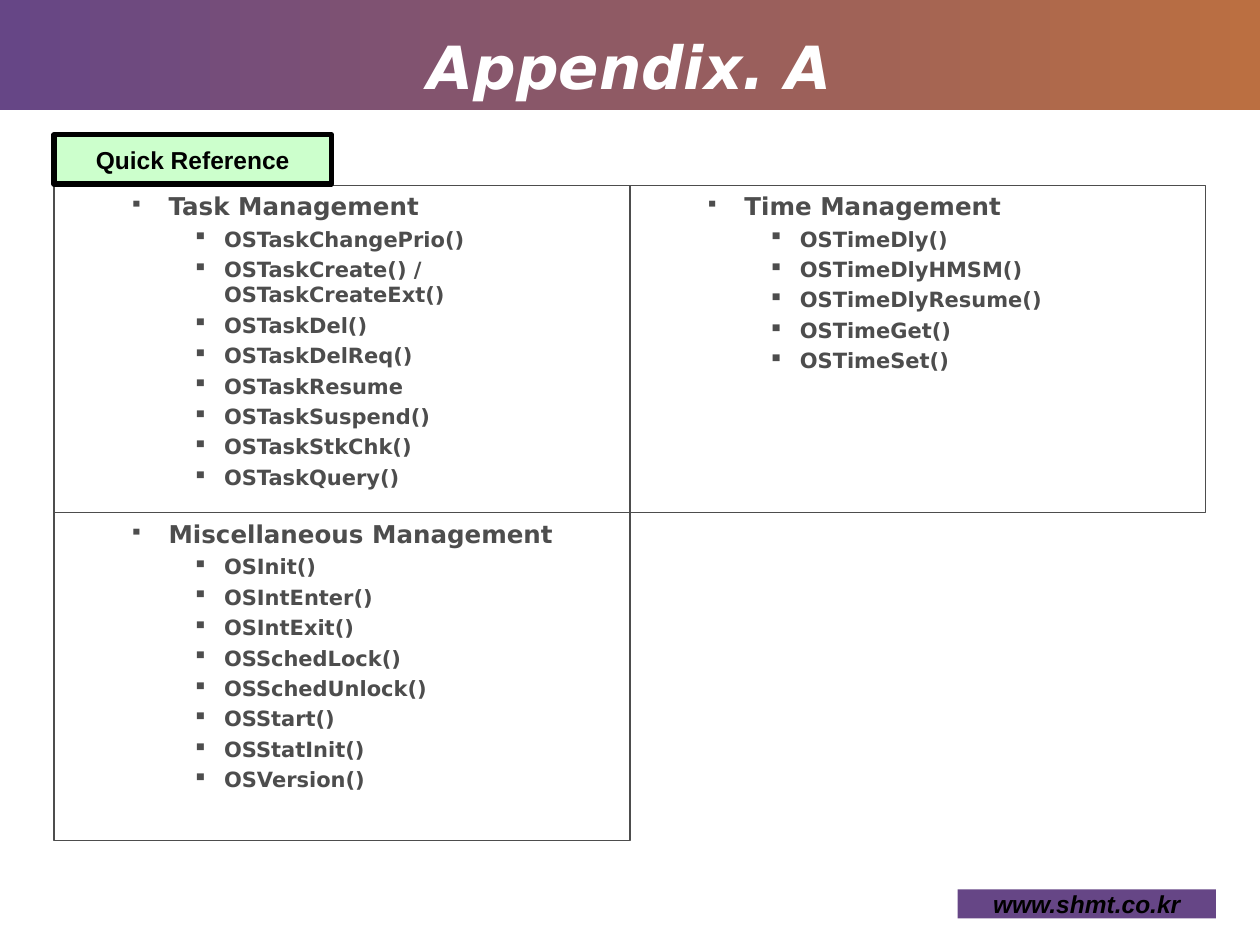
from dataclasses import dataclass

from lxml import etree
from pptx import Presentation
from pptx.dml.color import RGBColor
from pptx.enum.shapes import MSO_SHAPE
from pptx.enum.text import MSO_ANCHOR, PP_ALIGN
from pptx.oxml import parse_xml
from pptx.oxml.ns import nsdecls, qn
from pptx.util import Inches, Pt

RECTANGLE = MSO_SHAPE.RECTANGLE
TOP, MIDDLE = MSO_ANCHOR.TOP, MSO_ANCHOR.MIDDLE
LEFT, CENTER = PP_ALIGN.LEFT, PP_ALIGN.CENTER
PURPLE, ORANGE, GREEN = "664686", "BB6F41", "CCFFCC"
GRAY, BLACK, WHITE = "4D4D4D", "000000", "FFFFFF"
GRID_LEFT, GRID_TOP = 0.43, 1.47
CELL_WIDTH, CELL_HEIGHT = 4.57, 2.6


@dataclass
class Panel:
    """A group of functions and its place in the grid."""
    column: int
    row: int
    heading: str
    functions: list[str]


@dataclass
class Level:
    """The look of one outline level."""
    depth: int
    margin: float
    hanging: float
    before: float
    size: int
    bullet_percent: int


HEADING = Level(1, 0.81, 0.31, 3.5, 14, 75)
ITEM = Level(2, 1.25, 0.25, 3, 12, 100)
PANELS = [
    Panel(0, 0, "Task Management", [
        "OSTaskChangePrio()", "OSTaskCreate() / OSTaskCreateExt()", "OSTaskDel()",
        "OSTaskDelReq()", "OSTaskResume", "OSTaskSuspend()", "OSTaskStkChk()",
        "OSTaskQuery()"]),
    Panel(1, 0, "Time Management", [
        "OSTimeDly()", "OSTimeDlyHMSM()", "OSTimeDlyResume()", "OSTimeGet()",
        "OSTimeSet()"]),
    Panel(0, 1, "Miscellaneous Management", [
        "OSInit()", "OSIntEnter()", "OSIntExit()", "OSSchedLock()",
        "OSSchedUnlock()", "OSStart()", "OSStatInit()", "OSVersion()"]),
]


def color(value: str) -> RGBColor:
    """Turn a hex string into a colour."""
    return RGBColor.from_string(value)


def add_box(page, left: float, top: float, width: float, height: float,
            fill: str | None = None, line: str | None = None, weight: float = 0.75):
    """Add a rectangle with an optional fill and outline."""
    box = page.shapes.add_shape(RECTANGLE, Inches(left), Inches(top),
                                Inches(width), Inches(height))
    box.shadow.inherit = False
    if fill:
        box.fill.solid()
        box.fill.fore_color.rgb = color(fill)
    else:
        box.fill.background()
    if line:
        box.line.color.rgb = color(line)
        box.line.width = Pt(weight)
    else:
        box.line.fill.background()
    return box


def set_font(para, name: str, size: int, ink: str, italic: bool = False) -> None:
    """Set the bold font of a paragraph."""
    para.font.name, para.font.size = name, Pt(size)
    para.font.bold, para.font.italic = True, italic
    para.font.color.rgb = color(ink)


def write_label(box, text: str, name: str, size: int, ink: str, italic: bool = False):
    """Write one centred line in a box without insets."""
    frame = box.text_frame
    frame.word_wrap, frame.vertical_anchor = True, MIDDLE
    frame.margin_left = frame.margin_right = 0
    frame.margin_top = frame.margin_bottom = 0
    para = frame.paragraphs[0]
    para.text, para.alignment = text, CENTER
    set_font(para, name, size, ink, italic)
    return para


def add_banner(page) -> None:
    """Add the gradient band across the top."""
    band = add_box(page, 0, 0, 10, 0.87)
    band.fill.gradient()
    band.fill.gradient_angle = 0
    for stop, shade in zip(band.fill.gradient_stops, (PURPLE, ORANGE)):
        stop.color.rgb = color(shade)


def add_title(page, text: str) -> None:
    """Add the slide title with its text shadow."""
    box = page.shapes.add_textbox(0, Inches(-0.11), Inches(10), Inches(1.26))
    para = write_label(box, text, "DejaVu Sans", 34, WHITE, italic=True)
    para.runs[0].font._element.append(parse_xml(
        f'<a:effectLst {nsdecls("a")}><a:outerShdw dist="25400" dir="2700000">'
        f'<a:srgbClr val="{BLACK}"/></a:outerShdw></a:effectLst>'))


def write_bullet(para, text: str, level: Level) -> None:
    """Write a bulleted paragraph at an outline level."""
    para.text, para.level, para.alignment = text, level.depth, LEFT
    if level is ITEM:
        para.space_before = Pt(level.before)
    props = para._p.get_or_add_pPr()
    props.set("marL", str(Inches(level.margin)))
    props.set("indent", str(Inches(-level.hanging)))
    shade = etree.SubElement(props, qn("a:buClr"))
    etree.SubElement(shade, qn("a:srgbClr"), val=GRAY)
    etree.SubElement(props, qn("a:buSzPct"), val=str(level.bullet_percent * 1000))
    etree.SubElement(props, qn("a:buChar"), char="▪")
    set_font(para, "DejaVu Sans", level.size, GRAY)


def add_panel(page, panel: Panel) -> None:
    """Add an outlined panel with its heading and functions."""
    box = add_box(page, GRID_LEFT + panel.column * CELL_WIDTH,
                  GRID_TOP + panel.row * CELL_HEIGHT,
                  CELL_WIDTH, CELL_HEIGHT, line=GRAY)
    frame = box.text_frame
    frame.word_wrap, frame.vertical_anchor = True, TOP
    write_bullet(frame.paragraphs[0], panel.heading, HEADING)
    for function in panel.functions:
        write_bullet(frame.add_paragraph(), function, ITEM)


def main() -> None:
    """Build the quick reference slide."""
    deck = Presentation()
    deck.slide_width, deck.slide_height = Inches(10), Inches(7.5)
    page = deck.slides.add_slide(deck.slide_layouts[6])
    add_banner(page)
    add_title(page, "Appendix. A")
    for panel in PANELS:
        add_panel(page, panel)
    footer = add_box(page, 7.6, 7.06, 2.05, 0.23, fill=PURPLE)
    write_label(footer, "www.shmt.co.kr", "Arial", 14, BLACK, italic=True)
    tag = add_box(page, GRID_LEFT, 1.07, 2.2, 0.39, GREEN, BLACK, 3)
    write_label(tag, "Quick Reference", "Arial", 14, BLACK)
    deck.save("out.pptx")


if __name__ == "__main__":
    main()
